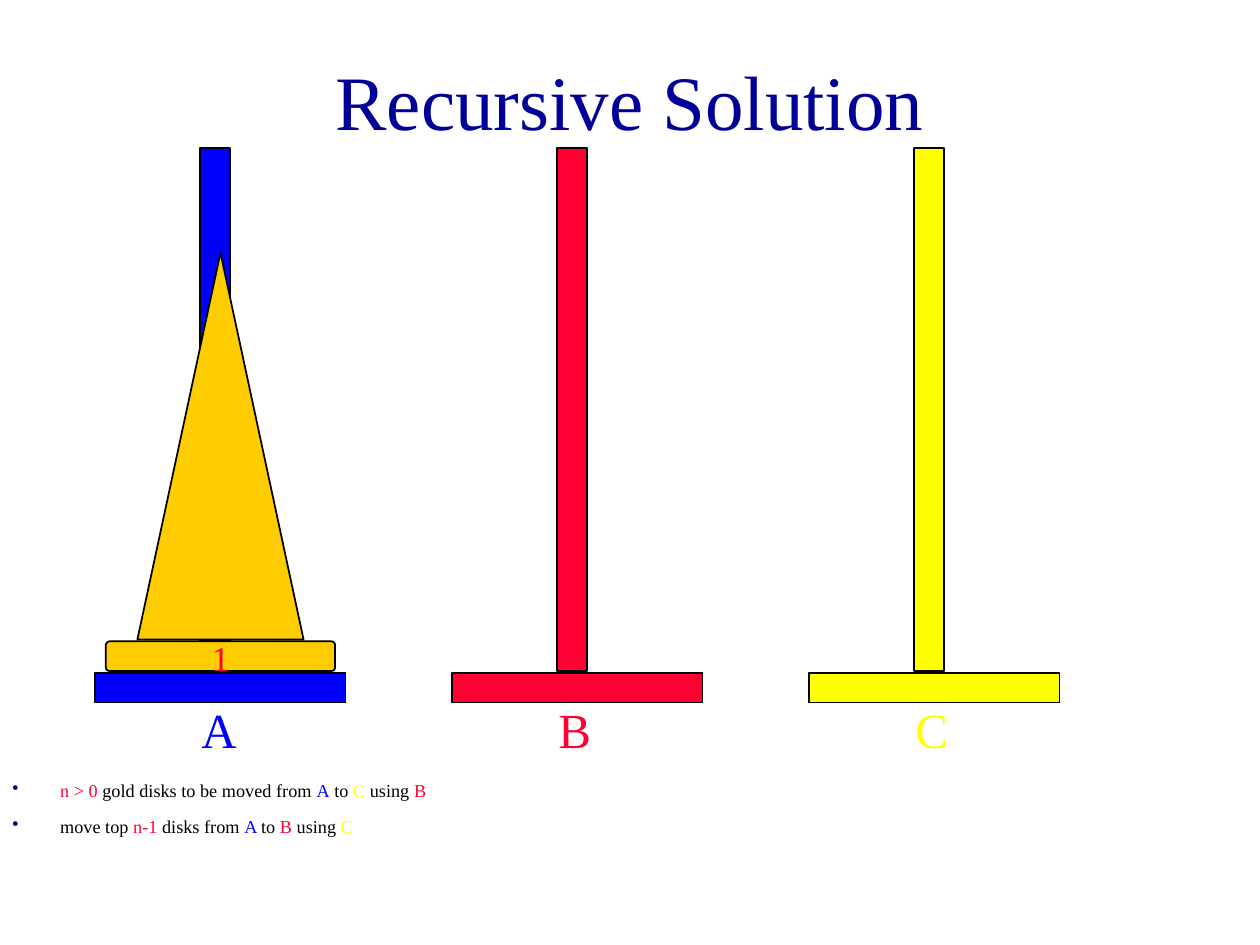
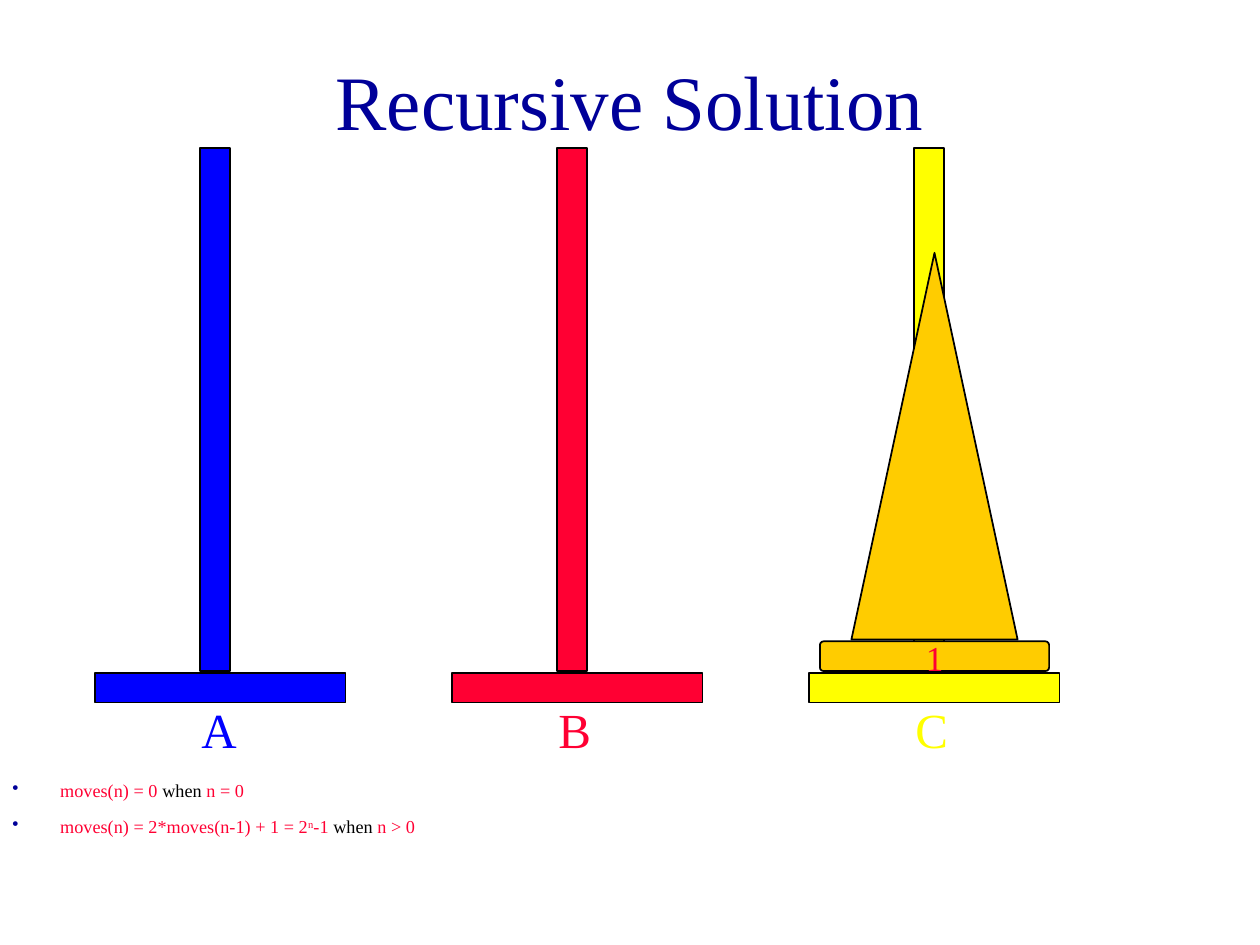
"""Build two Towers of Hanoi slides: the recursive solution and its move count."""
from lxml import etree
from pptx import Presentation
from pptx.dml.color import RGBColor
from pptx.enum.shapes import MSO_SHAPE
from pptx.enum.text import MSO_ANCHOR, PP_ALIGN
from pptx.oxml.ns import qn
from pptx.util import Pt

RECTANGLE = MSO_SHAPE.RECTANGLE
ROUNDED = MSO_SHAPE.ROUNDED_RECTANGLE
TRIANGLE = MSO_SHAPE.ISOSCELES_TRIANGLE
TOP, MIDDLE = MSO_ANCHOR.TOP, MSO_ANCHOR.MIDDLE
LEFT, CENTER = PP_ALIGN.LEFT, PP_ALIGN.CENTER

NAVY = RGBColor(0x00, 0x00, 0x99)
BLUE = RGBColor(0x00, 0x00, 0xFF)
RED = RGBColor(0xFF, 0x00, 0x33)
YELLOW = RGBColor(0xFF, 0xFF, 0x00)
GOLD = RGBColor(0xFF, 0xCC, 0x00)
BLACK = RGBColor(0x00, 0x00, 0x00)

FONT = "Times New Roman"
TOWER_PITCH = 204
BULLET_INDENT = 27.3
TOWERS = [("A", BLUE), ("B", RED), ("C", YELLOW)]

TITLE = {"size": Pt(44), "align": CENTER, "anchor": MIDDLE, "before": Pt(0)}
LABEL = {"size": Pt(28), "align": LEFT, "anchor": TOP, "before": Pt(17.5)}
DISK_NUMBER = {"size": Pt(20), "align": LEFT, "anchor": TOP, "before": Pt(12.5)}
BODY = {"size": Pt(10.4), "align": LEFT, "anchor": TOP, "before": Pt(8)}

SLIDES = [
    {
        "stack": 0,
        "bullets": [
            [("n > 0", RED), (" gold disks to be moved from ", BLACK), ("A", BLUE),
             (" to ", BLACK), ("C ", YELLOW), ("using ", BLACK), ("B", RED)],
            [("move top ", BLACK), ("n-1 ", RED), ("disks from ", BLACK), ("A ", BLUE),
             ("to ", BLACK), ("B", RED), (" using ", BLACK), ("C", YELLOW)],
        ],
    },
    {
        "stack": 2,
        "bullets": [
            [("moves(n) = 0 ", RED), ("when ", BLACK), ("n = 0", RED)],
            [("moves(n) = 2*moves(n-1) + 1 = 2", RED), ("n", RED, "30000"),
             ("-1 ", RED), ("when ", BLACK), ("n > 0", RED)],
        ],
    },
]


def add_block(page, kind, frame, color):
    block = page.shapes.add_shape(kind, *map(Pt, frame))
    block.shadow.inherit = False
    block.fill.solid()
    block.fill.fore_color.rgb = color
    block.line.color.rgb = BLACK
    block.line.width = Pt(1)
    return block


def add_text(page, frame, style, lines):
    box = page.shapes.add_textbox(*map(Pt, frame))
    text = box.text_frame
    text.word_wrap = True
    text.vertical_anchor = style["anchor"]
    for number, spans in enumerate(lines):
        para = text.add_paragraph() if number else text.paragraphs[0]
        para.alignment = style["align"]
        para.space_before = style["before"]
        for words, color, *raised in spans:
            span = para.add_run()
            span.text = words
            for name, value in {"name": FONT, "size": style["size"]}.items():
                setattr(span.font, name, value)
            span.font.color.rgb = color
            for baseline in raised:
                span.font._element.set("baseline", baseline)
    return text


deck = Presentation()
deck.slide_width, deck.slide_height = Pt(720), Pt(540)

for content in SLIDES:
    page = deck.slides.add_slide(deck.slide_layouts[6])
    add_text(page, (54, 12, 612, 90), TITLE, [[("Recursive Solution", NAVY)]])

    for position, (letter, color) in enumerate(TOWERS):
        shift = position * TOWER_PITCH
        add_block(page, RECTANGLE, (54.4 + shift, 384.5, 143, 17), color)
        add_block(page, RECTANGLE, (114.4 + shift, 84.5, 17, 299), color)
        add_text(page, (108 + shift, 396, 72, 41), LABEL, [[(letter, color)]])

    shift = content["stack"] * TOWER_PITCH
    disk = add_block(page, ROUNDED, (60.5 + shift, 366.5, 131, 17), GOLD)
    disk.adjustments[0] = 0.125
    add_text(page, (114 + shift, 360, 54, 31), DISK_NUMBER, [[("1", RED)]])
    add_block(page, TRIANGLE, (78.5 + shift, 144.5, 95, 221), GOLD)

    body = add_text(page, (0, 442, 714, 44), BODY, content["bullets"])
    for para in body.paragraphs:
        props = para._p.get_or_add_pPr()
        props.set("marL", str(Pt(BULLET_INDENT)))
        props.set("indent", str(-Pt(BULLET_INDENT)))
        bullet_color = etree.SubElement(props, qn("a:buClr"))
        etree.SubElement(bullet_color, qn("a:srgbClr"), val=str(NAVY))
        etree.SubElement(props, qn("a:buChar"), char="•")

deck.save("out.pptx")
